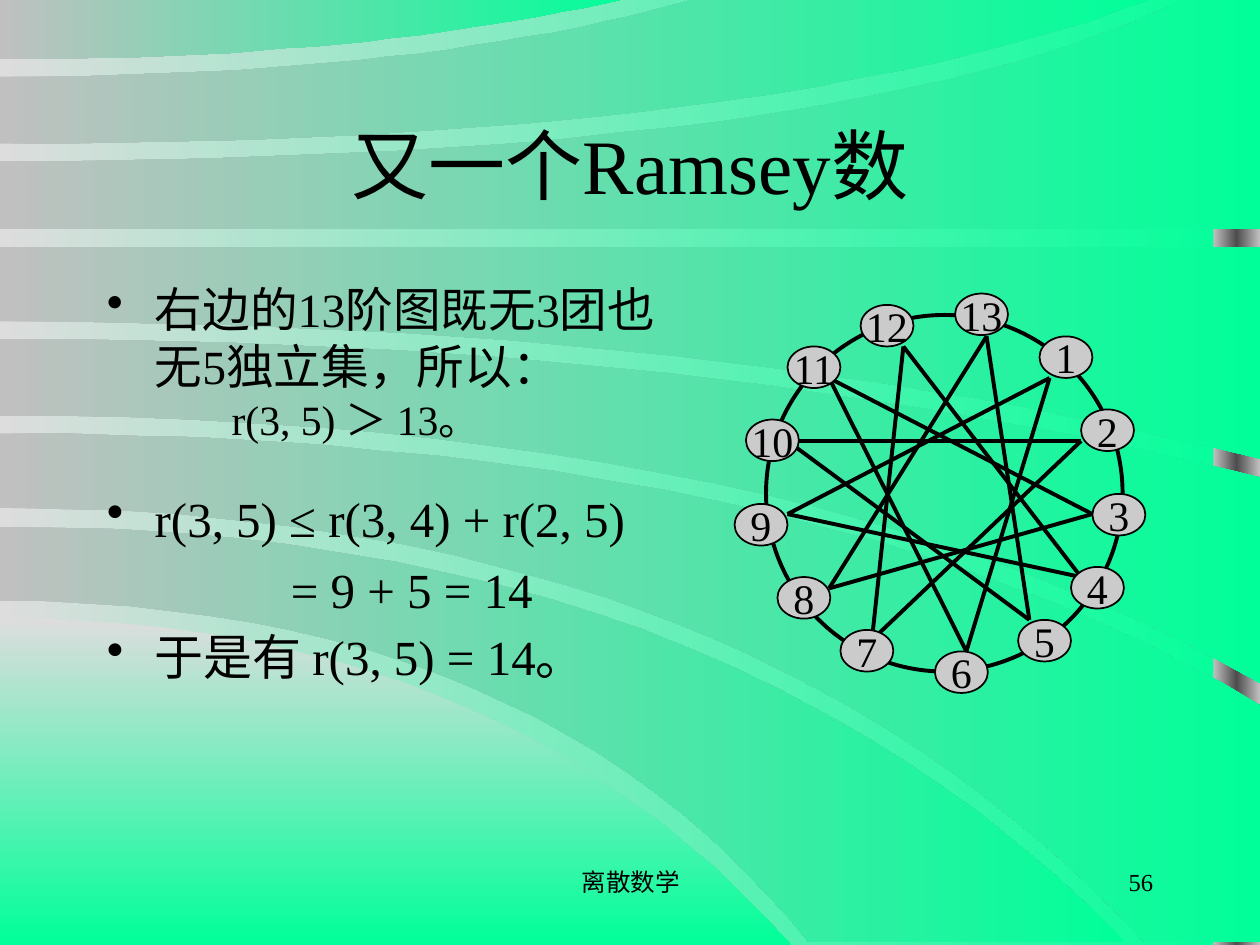
import copy

import pptx
import pptx.dml.color
import pptx.enum.shapes
import pptx.enum.text
import pptx.oxml
import pptx.oxml.ns
import pptx.util

PX = 9144  # EMU in one px, 100 px to the inch
FONT = "Times New Roman"
BLACK = pptx.dml.color.RGBColor(0x00, 0x00, 0x00)
DARK = pptx.dml.color.RGBColor(0x4D, 0x4D, 0x4D)
SILVER = pptx.dml.color.RGBColor(0xC0, 0xC0, 0xC0)
NODE_GREY = pptx.dml.color.RGBColor(0xCB, 0xCB, 0xCB)
MIST = pptx.dml.color.RGBColor(0xDD, 0xDD, 0xDD)
GREEN = pptx.dml.color.RGBColor(0x00, 0xFF, 0x99)

ALIGN = pptx.enum.text.PP_ALIGN
ANCHOR = pptx.enum.text.MSO_ANCHOR
SHAPE = pptx.enum.shapes.MSO_SHAPE

EDGE_STRIP = (963, 0, 37, 750)
CURVE_STEPS = 24
# An edge leaves the left side level: start y, bend x, end x, end y
HILL_EDGE = (491, 397, 628, 750)
HILL_CORNER = (0, 750)
# upper edge, lower edge, corners between their right ends
BANDS = [
    ((418, 575, 893, 748), (477, 425, 642, 748), []),
    ((344, 640, 1000, 560), (403, 590, 909, 748), [(1000, 748)]),
    ((269, 555, 1000, 379), (330, 630, 1000, 542), []),
    ((196, 500, 1000, 196), (255, 564, 1000, 364), []),
    ((128, 680, 943, -2), (182, 500, 1000, 182), [(1000, -2)]),
    ((61, 338, 556, -2), (114, 616, 917, -2), []),
    ((-2, 250, 501, -2), (47, 290, 501, -2), []),
]

HANG = {"margin": 38, "hang": 38, "bullet": "•"}
# box, vertical anchor, then (text, format) for each paragraph
TEXTS = [
    ((342, 683, 317, 50), ANCHOR.TOP, [("离散数学", {"size": 14, "align": ALIGN.CENTER})]),
    ((717, 683, 208, 50), ANCHOR.TOP, [("56", {"size": 14, "align": ALIGN.RIGHT})]),
    ((75, 67, 850, 125), ANCHOR.MIDDLE,
     [("又一个Ramsey数", {"size": 44, "align": ALIGN.CENTER})]),
    ((75, 217, 483, 183), ANCHOR.TOP, [
        ("右边的13阶图既无3团也无5独立集，所以：", {"size": 27.2, **HANG}),
        ("r(3, 5) ＞ 13。", {"size": 23.8, "margin": 99}),
    ]),
    ((75, 383, 483, 125), ANCHOR.TOP, [
        ("r(3, 5) ≤ r(3, 4) + r(2, 5)", {"size": 28, **HANG}),
        ("= 9 + 5 = 14", {"size": 28, "margin": 146, "before": 7}),
    ]),
    ((75, 492, 483, 75), ANCHOR.TOP, [("于是有 r(3, 5) = 14。", {"size": 28, **HANG})]),
]

RING = (608, 250, 283, 283)
NODE_SIZE = (42, 33)
CHORD_STEP = 5
# left and top of each node, then the point where its chords meet, for 1 to 13
VERTICES = [
    ((825, 267), (833, 300)), ((858, 325), (858, 350)), ((867, 392), (867, 408)),
    ((850, 450), (858, 458)), ((808, 492), (817, 492)), ((742, 517), (767, 517)),
    ((667, 500), (692, 508)), ((617, 458), (658, 467)), ((583, 400), (625, 408)),
    ((592, 333), (625, 350)), ((625, 275), (658, 300)), ((683, 242), (717, 275)),
    ((758, 233), (783, 267)),
]


def scaled(lengths):
    return [length * PX for length in lengths]


def paint_gradient(fill, colors, angle=0):
    """Spread the colours evenly; the angle runs counter-clockwise."""
    fill.gradient()
    fill.gradient_angle = angle
    stops = fill.gradient_stops
    for _ in colors[2:]:
        stops[0]._gs.addnext(copy.deepcopy(stops[0]._gs))
    for index, color in enumerate(colors):
        stops[index].color.rgb = color
        stops[index].position = index / (len(colors) - 1)


def curve_points(start_y, bend_x, end_x, end_y):
    """Sample the quadratic curve of one edge from left to right."""
    points = []
    for step in range(CURVE_STEPS + 1):
        t = step / CURVE_STEPS
        x = 2 * t * (1 - t) * bend_x + t * t * end_x
        y = start_y + t * t * (end_y - start_y)
        points.append((x, y))
    return points


def add_bullet(paragraph, character):
    properties = paragraph._p.get_or_add_pPr()
    namespace = pptx.oxml.ns.nsdecls("a")
    for xml in (f'<a:buClr {namespace}><a:srgbClr val="{BLACK}"/></a:buClr>',
                f'<a:buChar {namespace} char="{character}"/>'):
        properties.append(pptx.oxml.parse_xml(xml))


def write(paragraph, text, size, align=ALIGN.LEFT, margin=0, hang=0, before=0, bullet=None):
    paragraph.alignment = align
    paragraph.space_before = pptx.util.Pt(before)
    properties = paragraph._p.get_or_add_pPr()
    properties.set("marL", str(margin * PX))
    properties.set("indent", str(-hang * PX))
    if bullet:
        add_bullet(paragraph, bullet)
    run = paragraph.add_run()
    run.text = text
    run.font.size = pptx.util.Pt(size)
    run.font.name = FONT
    run.font.color.rgb = BLACK


def add_text(slide, box, anchor, paragraphs):
    frame = slide.shapes.add_textbox(*scaled(box)).text_frame
    frame.word_wrap = True
    frame.vertical_anchor = anchor
    for index, (text, text_format) in enumerate(paragraphs):
        paragraph = frame.add_paragraph() if index else frame.paragraphs[0]
        write(paragraph, text, **text_format)


def add_band(slide, points, colors, angle=0):
    builder = slide.shapes.build_freeform(*points[0], scale=PX)
    builder.add_line_segments(points[1:], close=True)
    band = builder.convert_to_shape()
    band.shadow.inherit = False
    band.line.fill.background()
    paint_gradient(band.fill, colors, angle)


def add_ellipse(slide, box, line_width):
    ellipse = slide.shapes.add_shape(SHAPE.OVAL, *scaled(box))
    ellipse.shadow.inherit = False
    ellipse.fill.background()
    ellipse.line.color.rgb = BLACK
    ellipse.line.width = pptx.util.Pt(line_width)
    return ellipse


def add_chord(slide, start, end):
    chord = slide.shapes.add_connector(
        pptx.enum.shapes.MSO_CONNECTOR.STRAIGHT, *scaled(start + end))
    chord.line.color.rgb = BLACK
    chord.line.width = pptx.util.Pt(2.25)
    chord._element.spPr.append(
        pptx.oxml.parse_xml(f'<a:effectLst {pptx.oxml.ns.nsdecls("a")}/>'))


def add_node(slide, corner, number):
    node = add_ellipse(slide, corner + NODE_SIZE, 1)
    node.fill.solid()
    node.fill.fore_color.rgb = NODE_GREY
    node.text_frame.word_wrap = False
    node.text_frame.vertical_anchor = ANCHOR.MIDDLE
    write(node.text_frame.paragraphs[0], str(number), size=24, align=ALIGN.CENTER)


def main():
    presentation = pptx.Presentation()
    presentation.slide_width, presentation.slide_height = scaled((1000, 750))
    slide = presentation.slides.add_slide(presentation.slide_layouts[6])

    paint_gradient(slide.background.fill, [MIST, GREEN])
    strip = slide.shapes.add_shape(SHAPE.RECTANGLE, *scaled(EDGE_STRIP))
    strip.shadow.inherit = False
    strip.line.fill.background()
    paint_gradient(strip.fill, [SILVER, DARK, SILVER])
    add_band(slide, curve_points(*HILL_EDGE) + [HILL_CORNER], [MIST, GREEN], angle=270)
    for upper, lower, corners in BANDS:
        outline = curve_points(*upper) + corners + curve_points(*lower)[::-1]
        add_band(slide, outline, [SILVER, GREEN])

    for box, anchor, paragraphs in TEXTS:
        add_text(slide, box, anchor, paragraphs)

    add_ellipse(slide, RING, 2.25)
    for index, (_, meeting_point) in enumerate(VERTICES):
        partner = VERTICES[(index + CHORD_STEP) % len(VERTICES)]
        add_chord(slide, meeting_point, partner[1])
    for number, (corner, _) in enumerate(VERTICES, start=1):
        add_node(slide, corner, number)

    presentation.save("out.pptx")


if __name__ == "__main__":
    main()
